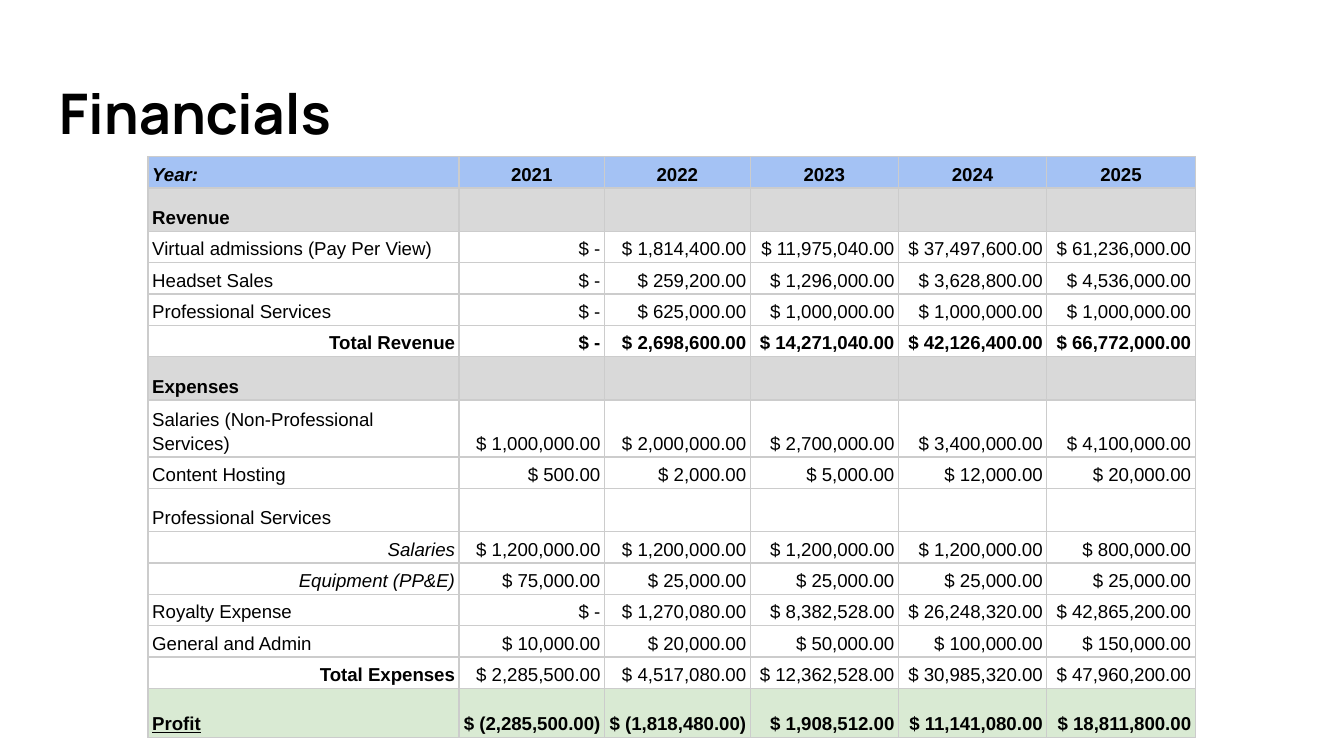
from dataclasses import dataclass
from typing import Optional

import pptx
import pptx.dml.color
import pptx.enum.text
import pptx.oxml.ns
import pptx.util
from lxml import etree

Pt = pptx.util.Pt
RGBColor = pptx.dml.color.RGBColor
Align = pptx.enum.text.PP_ALIGN
Anchor = pptx.enum.text.MSO_ANCHOR

BLACK = RGBColor(0x00, 0x00, 0x00)
BLUE = RGBColor(0xA4, 0xC2, 0xF4)
GRAY = RGBColor(0xD9, 0xD9, 0xD9)
GREEN = RGBColor(0xD9, 0xEA, 0xD3)
BORDER = RGBColor(0xCC, 0xCC, 0xCC)

LINE_HEIGHT = 15.86
SECTION_HEIGHT = 23.2
COLUMN_WIDTHS = (166.6, 77.9, 78.1, 79.4, 79.5, 79.5)


@dataclass
class Entry:
    label: str
    amounts: tuple[str, ...] = ("",) * 5
    height: float = LINE_HEIGHT
    fill: Optional[RGBColor] = None
    label_align: Align = Align.LEFT
    amount_align: Align = Align.RIGHT
    bold_label: bool = False
    bold_amounts: bool = False
    italic: bool = False
    underline: bool = False


def dollars(*amounts: str) -> tuple[str, ...]:
    return tuple(f"$ {amount}" for amount in amounts)


def section(label: str) -> Entry:
    return Entry(label, height=SECTION_HEIGHT, fill=GRAY, bold_label=True)


ENTRIES = [
    Entry("Year:", ("2021", "2022", "2023", "2024", "2025"), fill=BLUE,
          amount_align=Align.CENTER, bold_label=True, bold_amounts=True, italic=True),
    section("Revenue"),
    Entry("Virtual admissions (Pay Per View)",
          dollars("-", "1,814,400.00", "11,975,040.00", "37,497,600.00", "61,236,000.00")),
    Entry("Headset Sales",
          dollars("-", "259,200.00", "1,296,000.00", "3,628,800.00", "4,536,000.00")),
    Entry("Professional Services",
          dollars("-", "625,000.00", "1,000,000.00", "1,000,000.00", "1,000,000.00")),
    Entry("Total Revenue",
          dollars("-", "2,698,600.00", "14,271,040.00", "42,126,400.00", "66,772,000.00"),
          label_align=Align.RIGHT, bold_label=True, bold_amounts=True),
    section("Expenses"),
    Entry("Salaries (Non-Professional Services)",
          dollars("1,000,000.00", "2,000,000.00", "2,700,000.00", "3,400,000.00", "4,100,000.00"),
          height=28.7),
    Entry("Content Hosting",
          dollars("500.00", "2,000.00", "5,000.00", "12,000.00", "20,000.00")),
    Entry("Professional Services", height=SECTION_HEIGHT),
    Entry("Salaries",
          dollars("1,200,000.00", "1,200,000.00", "1,200,000.00", "1,200,000.00", "800,000.00"),
          label_align=Align.RIGHT, italic=True),
    Entry("Equipment (PP&E)",
          dollars("75,000.00", "25,000.00", "25,000.00", "25,000.00", "25,000.00"),
          label_align=Align.RIGHT, italic=True),
    Entry("Royalty Expense",
          dollars("-", "1,270,080.00", "8,382,528.00", "26,248,320.00", "42,865,200.00")),
    Entry("General and Admin",
          dollars("10,000.00", "20,000.00", "50,000.00", "100,000.00", "150,000.00")),
    Entry("Total Expenses",
          dollars("2,285,500.00", "4,517,080.00", "12,362,528.00", "30,985,320.00",
                  "47,960,200.00"),
          label_align=Align.RIGHT, bold_label=True),
    Entry("Profit",
          dollars("(2,285,500.00)", "(1,818,480.00)", "1,908,512.00", "11,141,080.00",
                  "18,811,800.00"),
          height=26.2, fill=GREEN, bold_label=True, bold_amounts=True, underline=True),
]


def set_borders(cell) -> None:
    """Outline all four sides; border elements precede the fill in tcPr."""
    properties = cell._tc.get_or_add_tcPr()
    qn = pptx.oxml.ns.qn
    for position, side in enumerate(("a:lnL", "a:lnR", "a:lnT", "a:lnB")):
        line = etree.Element(qn(side), w=str(Pt(0.75)))
        solid = etree.SubElement(line, qn("a:solidFill"))
        etree.SubElement(solid, qn("a:srgbClr"), val=str(BORDER))
        properties.insert(position, line)


def fill_cell(cell, text: str, entry: Entry, is_label: bool) -> None:
    cell.margin_left = cell.margin_right = Pt(2.25)
    cell.margin_top = cell.margin_bottom = Pt(1.5)
    cell.vertical_anchor = Anchor.BOTTOM
    if entry.fill is None:
        cell.fill.background()
    else:
        cell.fill.solid()
        cell.fill.fore_color.rgb = entry.fill
    set_borders(cell)

    cell.text = text
    paragraph = cell.text_frame.paragraphs[0]
    paragraph.alignment = entry.label_align if is_label else entry.amount_align
    paragraph.line_spacing = 1.15
    font = paragraph.font
    font.name, font.size = "Arial", Pt(10)
    font.color.rgb = BLACK
    font.bold = entry.bold_label if is_label else entry.bold_amounts
    font.italic = is_label and entry.italic
    font.underline = is_label and entry.underline


def add_title(slide, text: str) -> None:
    title = slide.shapes.add_textbox(Pt(24.5), Pt(35.3), Pt(671), Pt(49))
    frame = title.text_frame
    frame.word_wrap = True
    frame.vertical_anchor = Anchor.MIDDLE
    frame.margin_left = frame.margin_right = Pt(7.2)
    frame.margin_top = frame.margin_bottom = Pt(7.2)
    paragraph = frame.paragraphs[0]
    paragraph.text = text
    paragraph.font.name, paragraph.font.size = "Manrope", Pt(30)
    paragraph.font.bold = True
    paragraph.font.color.rgb = BLACK


def add_financials(slide, entries: list[Entry]) -> None:
    financials = slide.shapes.add_table(
        len(entries), len(COLUMN_WIDTHS), Pt(79.3), Pt(84),
        Pt(sum(COLUMN_WIDTHS)), Pt(sum(entry.height for entry in entries))).table
    financials.first_row = financials.horz_banding = False
    for column, width in zip(financials.columns, COLUMN_WIDTHS):
        column.width = Pt(width)
    for row, entry in zip(financials.rows, entries):
        row.height = Pt(entry.height)
        for index, text in enumerate((entry.label, *entry.amounts)):
            fill_cell(row.cells[index], text, entry, is_label=index == 0)


def main() -> None:
    presentation = pptx.Presentation()
    presentation.slide_width, presentation.slide_height = Pt(720), Pt(405)
    slide = presentation.slides.add_slide(presentation.slide_layouts[6])
    add_title(slide, "Financials")
    add_financials(slide, ENTRIES)
    presentation.save("out.pptx")


if __name__ == "__main__":
    main()
